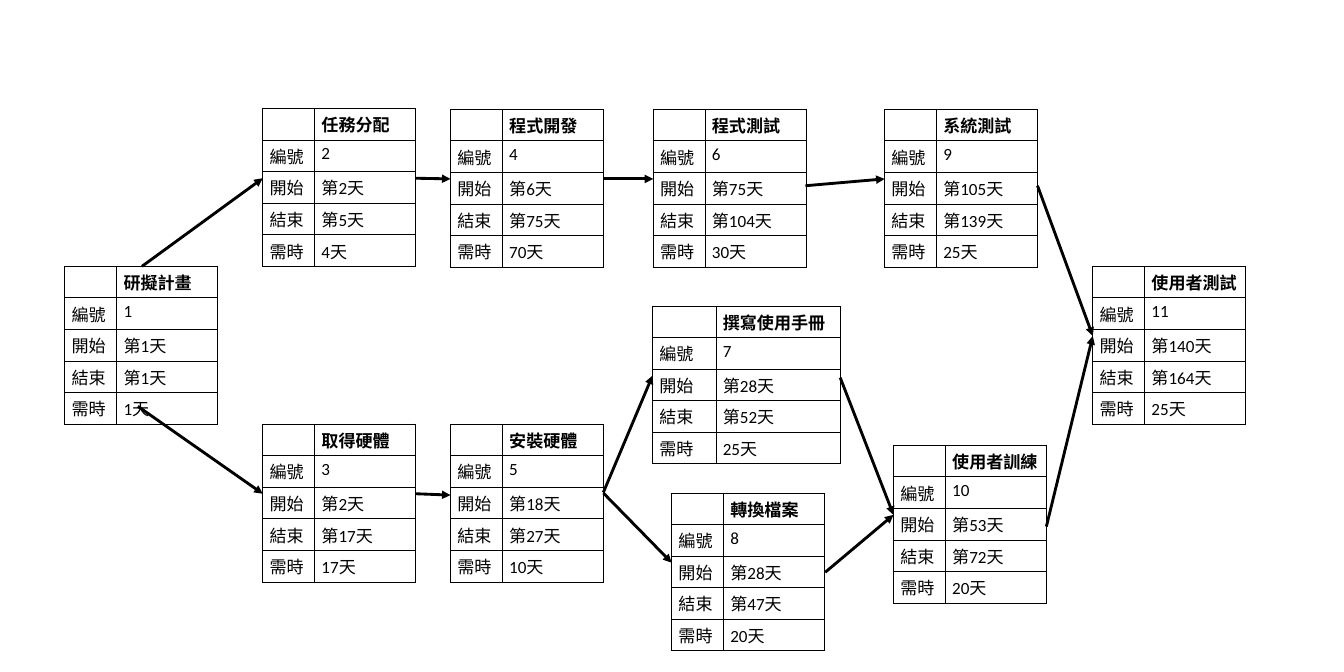
from pptx import Presentation
from pptx.dml.color import RGBColor
from pptx.enum.shapes import MSO_CONNECTOR
from pptx.oxml.ns import qn
from pptx.util import Emu, Pt
from lxml import etree

STRAIGHT = MSO_CONNECTOR.STRAIGHT
EMU_PER_PX = 9144  # 100 px to the inch
BLACK = "000000"
FONT = "Calibri"
ROW_HEIGHT = 41
NORMAL_COLUMNS = (76, 148)
WIDE_COLUMNS = (93, 182)

# number, title, first day, last day, duration, left, top, column widths
TASKS = [
    (1, "研擬計畫", 1, 1, 1, 95, 390, NORMAL_COLUMNS),
    (2, "任務分配", 2, 5, 4, 385, 159, NORMAL_COLUMNS),
    (3, "取得硬體", 2, 17, 17, 385, 621, NORMAL_COLUMNS),
    (4, "程式開發", 6, 75, 70, 660, 160, NORMAL_COLUMNS),
    (5, "安裝硬體", 18, 27, 10, 660, 621, NORMAL_COLUMNS),
    (6, "程式測試", 75, 104, 30, 957, 160, NORMAL_COLUMNS),
    (7, "撰寫使用手冊", 28, 52, 25, 956, 448, WIDE_COLUMNS),
    (8, "轉換檔案", 28, 47, 20, 984, 722, NORMAL_COLUMNS),
    (9, "系統測試", 105, 139, 25, 1296, 160, NORMAL_COLUMNS),
    (10, "使用者訓練", 53, 72, 20, 1309, 652, NORMAL_COLUMNS),
    (11, "使用者測試", 140, 164, 25, 1601, 390, NORMAL_COLUMNS),
]

# start x, start y, end x, end y
DEPENDENCIES = [
    (208, 390, 385, 261),
    (202, 595, 385, 723),
    (609, 261, 660, 262),
    (884, 262, 957, 262),
    (609, 723, 660, 725),
    (884, 721, 956, 550),
    (884, 722, 984, 824),
    (1180, 272, 1296, 262),
    (1520, 272, 1601, 492),
    (1533, 771, 1601, 492),
    (1231, 553, 1309, 754),
    (1209, 838, 1309, 754),
]


def px(length):
    return Emu(length * EMU_PER_PX)


def color(hex_string):
    return RGBColor.from_string(hex_string)


def add_borders(cell):
    properties = cell._tc.get_or_add_tcPr()
    for side in ("a:lnL", "a:lnR", "a:lnT", "a:lnB"):
        border = etree.SubElement(properties, qn(side), w=str(Pt(1)))
        fill = etree.SubElement(border, qn("a:solidFill"))
        etree.SubElement(fill, qn("a:srgbClr"), val=BLACK)


def fill_cell(cell, text, bold):
    add_borders(cell)
    cell.fill.background()
    if text:
        run = cell.text_frame.paragraphs[0].add_run()
        run.text = text
        run.font.name = FONT
        run.font.size = Pt(18)
        run.font.bold = bold
        run.font.color.rgb = color(BLACK)


def add_task(slide, number, title, first_day, last_day, duration, left, top, columns):
    rows = [
        ("", title),
        ("編號", str(number)),
        ("開始", f"第{first_day}天"),
        ("結束", f"第{last_day}天"),
        ("需時", f"{duration}天"),
    ]
    task = slide.shapes.add_table(
        len(rows), len(columns), px(left), px(top),
        px(sum(columns)), px(ROW_HEIGHT * len(rows))).table
    task.first_row = False
    task.horz_banding = False
    for column, width in zip(task.columns, columns):
        column.width = px(width)
    for row_index, texts in enumerate(rows):
        task.rows[row_index].height = px(ROW_HEIGHT)
        for column_index, text in enumerate(texts):
            fill_cell(task.cell(row_index, column_index), text, bold=row_index == 0)


def add_dependency(slide, *ends):
    arrow = slide.shapes.add_connector(STRAIGHT, *map(px, ends))
    arrow.line.color.rgb = color(BLACK)
    arrow.line.width = Pt(3)
    etree.SubElement(arrow.line._get_or_add_ln(), qn("a:tailEnd"), type="triangle")
    etree.SubElement(arrow._element.spPr, qn("a:effectLst"))


def main():
    presentation = Presentation()
    presentation.slide_width = px(1969)
    presentation.slide_height = px(984)
    slide = presentation.slides.add_slide(presentation.slide_layouts[6])
    for task in TASKS:
        add_task(slide, *task)
    for dependency in DEPENDENCIES:
        add_dependency(slide, *dependency)
    presentation.save("out.pptx")


if __name__ == "__main__":
    main()
